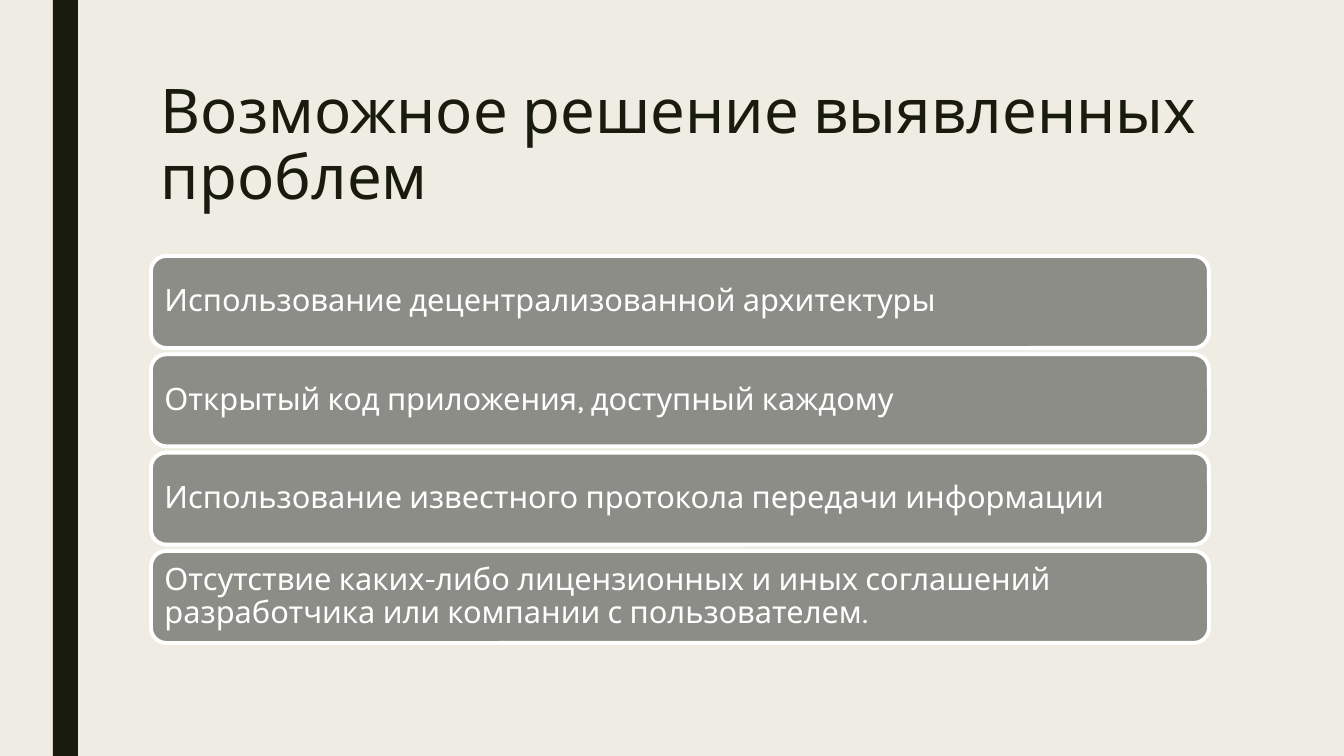
from pptx import Presentation
from pptx import util as u
from pptx.dml.color import RGBColor
from pptx.enum import shapes, text

PX = u.Inches(1) / 100.8
FONT = "Karla"
CREAM = RGBColor(0xEF, 0xED, 0xE3)
DARK = RGBColor(0x19, 0x1B, 0x0E)
GRAY = RGBColor(0x8C, 0x8D, 0x86)
WHITE = RGBColor(0xFF, 0xFF, 0xFF)

LEFT, WIDTH = 151, 1058
ROWS_TOP, ROWS_BOTTOM, ROW_HEIGHT = 256, 643, 92
TITLE = "Возможное решение выявленных проблем"
SOLUTIONS = [
    "Использование децентрализованной архитектуры",
    "Открытый код приложения, доступный каждому",
    "Использование известного протокола передачи информации",
    "Отсутствие каких-либо лицензионных и иных соглашений "
    "разработчика или компании с пользователем.",
]


def px(n):
    return u.Emu(round(n * PX))


def box(x, y, w, h):
    return px(x), px(y), px(w), px(h)


def write(sp, words, size, color, anchor, spacing):
    tf = sp.text_frame
    tf.word_wrap = True
    tf.vertical_anchor = anchor
    tf.text = words
    p = tf.paragraphs[0]
    p.alignment = text.PP_ALIGN.LEFT
    p.line_spacing = spacing
    r = p.runs[0]
    r.font.name = FONT
    r.font.size = u.Pt(size)
    r.font.color.rgb = color


def add_block(s, kind, place, fill):
    sp = s.shapes.add_shape(kind, *place)
    sp.shadow.inherit = False
    sp.fill.solid()
    sp.fill.fore_color.rgb = fill
    sp.line.fill.background()
    return sp


def add_title(s, words):
    sp = s.shapes.add_textbox(*box(LEFT, 76, WIDTH, 163))
    write(sp, words, 44, DARK, text.MSO_ANCHOR.TOP, 0.89)


def add_solution(s, y, words):
    sp = add_block(s, shapes.MSO_SHAPE.ROUNDED_RECTANGLE,
                   box(LEFT, y, WIDTH, ROW_HEIGHT), GRAY)
    sp.line.color.rgb = WHITE
    sp.line.width = u.Pt(2.75)
    tf = sp.text_frame
    tf.margin_left = tf.margin_right = px(9)
    tf.margin_top = tf.margin_bottom = px(9)
    write(sp, words, 22, WHITE, text.MSO_ANCHOR.MIDDLE, 0.9)


def main():
    prs = Presentation()
    prs.slide_width, prs.slide_height = px(1344), px(756)
    s = prs.slides.add_slide(prs.slide_layouts[6])

    # Background and side bar
    s.background.fill.solid()
    s.background.fill.fore_color.rgb = CREAM
    add_block(s, shapes.MSO_SHAPE.RECTANGLE, box(53, 0, 25, 756), DARK)

    # Title
    add_title(s, TITLE)

    # Evenly spread solutions
    pitch = (ROWS_BOTTOM - ROWS_TOP - ROW_HEIGHT) / (len(SOLUTIONS) - 1)
    for i, words in enumerate(SOLUTIONS):
        add_solution(s, ROWS_TOP + i * pitch, words)

    prs.save("out.pptx")


if __name__ == "__main__":
    main()
